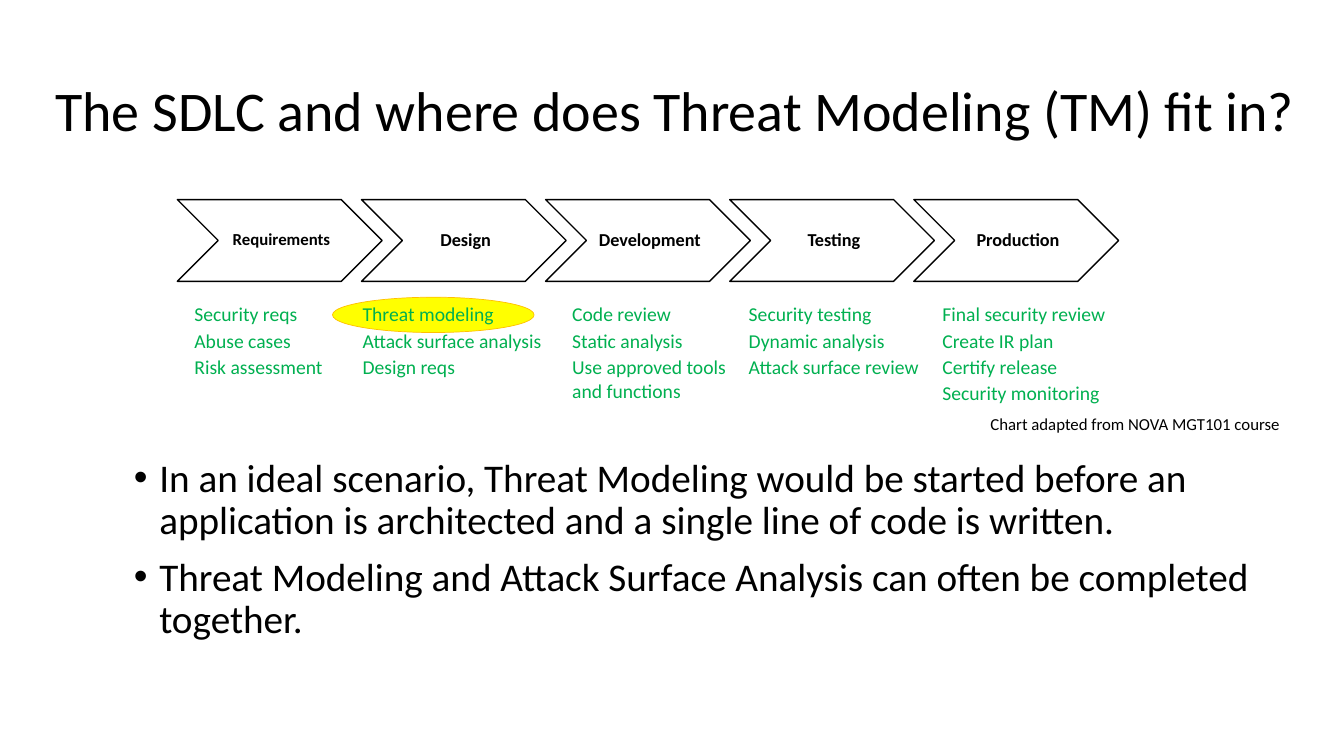
from pptx import Presentation, util as u
from pptx.dml.color import RGBColor
from pptx.enum import shapes, text

TITLE = "The SDLC and where does Threat Modeling (TM) fit in?"
PHASES = [
    ("Requirements", 12, 4.65, 4.65, ["Security reqs", "Abuse cases", "Risk assessment"]),
    ("Design", 13, 8.89, 5.08, ["Threat modeling", "Attack surface analysis", "Design reqs"]),
    ("Development", 13, 14.17, 4.65,
     ["Code review", "Static analysis", "Use approved tools and functions"]),
    ("Testing", 13, 18.62, 4.95,
     ["Security testing", "Dynamic analysis", "Attack surface review"]),
    ("Production", 13, 23.5, 5.05,
     ["Final security review", "Create IR plan", "Certify release", "Security monitoring"]),
]
CREDIT = "Chart adapted from NOVA MGT101 course"
POINTS = [
    "In an ideal scenario, Threat Modeling would be started before an application "
    "is architected and a single line of code is written.",
    "Threat Modeling and Attack Surface Analysis can often be completed together.",
]
COLORS = {"ink": "000000", "task": "00B050", "mark": "FFFF00", "mark_line": "FFC000"}
LEFT, CENTER = text.PP_ALIGN.LEFT, text.PP_ALIGN.CENTER
FORMATS = {
    "title": {"alignment": LEFT, "line_spacing": 0.9},
    "phase": {"alignment": CENTER, "line_spacing": 0.9},
    "task": {"alignment": LEFT, "space_before": u.Pt(2)},
    "credit": {"alignment": LEFT},
    "point": {"alignment": LEFT, "line_spacing": 0.9, "space_before": u.Pt(10)},
}
CHEVRON_LEFT, CHEVRON_TOP, CHEVRON_W, CHEVRON_H, STEP = 4.47, 5.03, 5.16, 2.06, 4.64
TASK_TOP, TASK_H = 7.49, 2.18


def rgb(name):
    return RGBColor.from_string(COLORS[name])


def box(*cm):
    return [u.Cm(v) for v in cm]


def place(sp, *cm):
    for name, value in zip(("left", "top", "width", "height"), box(*cm)):
        setattr(sp, name, value)


def write(sp, lines, kind, size, color="ink", bold=False):
    tf = sp.text_frame
    tf.word_wrap = True
    tf.auto_size = text.MSO_AUTO_SIZE.NONE
    for i, line in enumerate(lines):
        p = tf.add_paragraph() if i else tf.paragraphs[0]
        for name, value in FORMATS[kind].items():
            setattr(p, name, value)
        r = p.add_run()
        r.text = line
        font = {"name": "Calibri", "size": u.Pt(size), "bold": bold}
        for name, value in font.items():
            setattr(r.font, name, value)
        r.font.color.rgb = rgb(color)
    return tf


def add_outline(s, kind, cm, line, width):
    sp = s.shapes.add_shape(kind, *box(*cm))
    sp.shadow.inherit = False
    sp.line.color.rgb = rgb(line)
    sp.line.width = u.Pt(width)
    return sp


def main():
    prs = Presentation()
    prs.slide_width, prs.slide_height = box(33.87, 19.05)
    s = prs.slides.add_slide(prs.slide_layouts[1])
    title, body = s.placeholders

    place(title, 1.14, 1.02, 32.21, 3.68)
    tf = write(title, [TITLE], "title", 40)
    tf.vertical_anchor = text.MSO_ANCHOR.MIDDLE

    mark = add_outline(s, shapes.MSO_SHAPE.OVAL, (8.38, 7.49, 5.08, 0.89), "mark_line", 0.5)
    mark.fill.solid()
    mark.fill.fore_color.rgb = rgb("mark")

    for i, (phase, size, left, width, tasks) in enumerate(PHASES):
        cm = (CHEVRON_LEFT + i * STEP, CHEVRON_TOP, CHEVRON_W, CHEVRON_H)
        sp = add_outline(s, shapes.MSO_SHAPE.CHEVRON, cm, "ink", 1)
        sp.fill.background()
        tf = write(sp, [phase], "phase", size, bold=True)
        tf.vertical_anchor = text.MSO_ANCHOR.MIDDLE
        margins = {"margin_left": 0.14, "margin_right": 0.05,
                   "margin_top": 0.05, "margin_bottom": 0.05}
        for name, value in margins.items():
            setattr(tf, name, u.Cm(value))
        height = TASK_H + 0.67 * (len(tasks) - 3)
        sp = s.shapes.add_textbox(*box(left, TASK_TOP, width, height))
        write(sp, tasks, "task", 14, "task")

    sp = s.shapes.add_textbox(*box(24.71, 10.29, 8.26, 0.77))
    write(sp, [CREDIT], "credit", 12)

    place(body, 3.12, 11.43, 29.18, 5.97)
    tf = write(body, POINTS, "point", 28)
    for p in tf.paragraphs:
        pPr = p._p.get_or_add_pPr()
        pPr.set("marL", str(u.Cm(0.64)))
        pPr.set("indent", str(-u.Cm(0.64)))

    prs.save("out.pptx")


if __name__ == "__main__":
    main()
